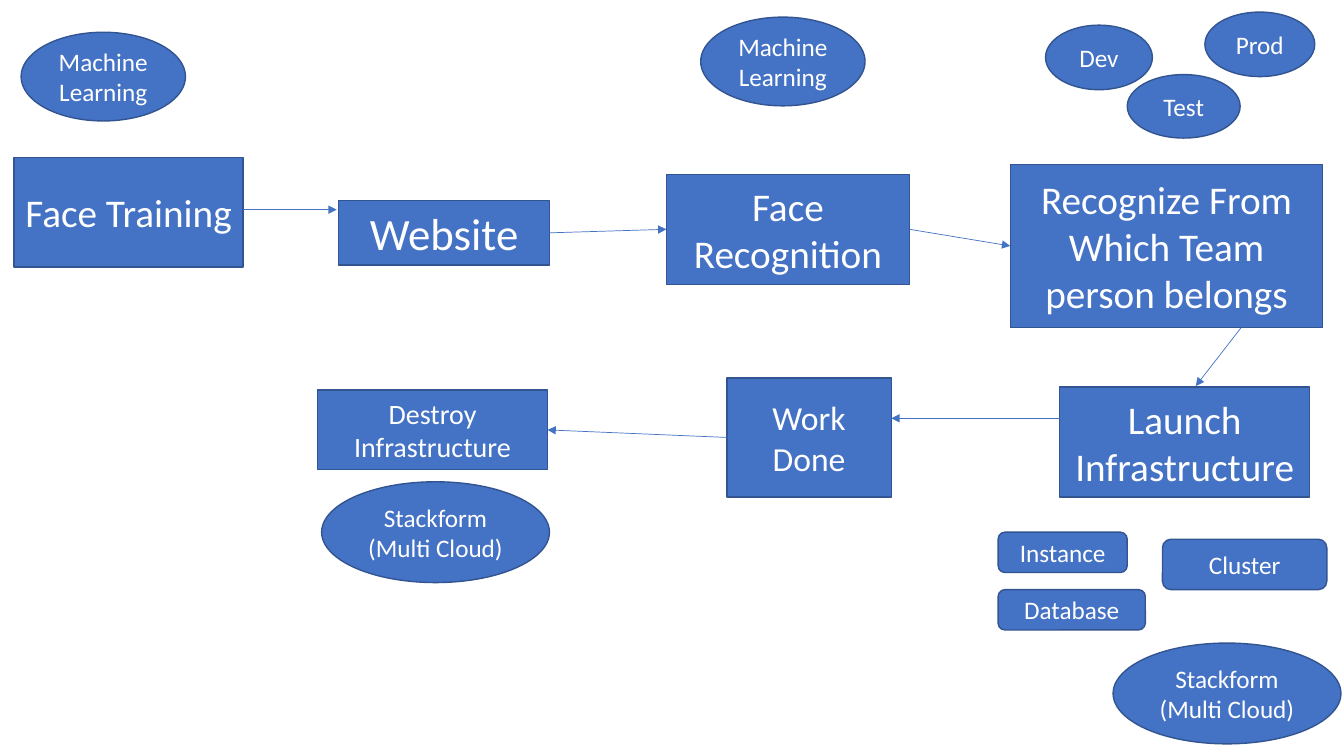
from lxml import etree
from pptx import Presentation, util as u
from pptx.dml.color import RGBColor
from pptx.enum import shapes, text
from pptx.oxml.ns import qn

RECT = shapes.MSO_SHAPE.RECTANGLE
OVAL = shapes.MSO_SHAPE.OVAL
ROUNDED = shapes.MSO_SHAPE.ROUNDED_RECTANGLE
LEFT, RIGHT = 1, 3


def colour(hex_code):
    return RGBColor.from_string(hex_code)


def write(frame, content, size=18, font="Calibri", ink="FFFFFF"):
    frame.word_wrap = True
    frame.vertical_anchor = text.MSO_ANCHOR.MIDDLE
    for i, line in enumerate(content.split("\n")):
        para = frame.paragraphs[0] if i == 0 else frame.add_paragraph()
        para.alignment = text.PP_ALIGN.CENTER
        run = para.add_run()
        run.text = line
        run.font.size = u.Pt(size)
        run.font.name = font
        run.font.color.rgb = colour(ink)


class FlowSlide:
    """Places elements on a grid whose columns and rows are a tenth of an inch."""
    CELL = u.Inches(0.1)
    FILL, BORDER = "4472C4", "325491"

    def __init__(self, slide):
        self.slide = slide

    def cells(self, *counts):
        return [round(count * self.CELL) for count in counts]

    def node(self, kind, label, col, row, cols, rows, size=18):
        node = self.slide.shapes.add_shape(kind, *self.cells(col, row, cols, rows))
        node.shadow.inherit = False
        node.fill.solid()
        node.fill.fore_color.rgb = colour(self.FILL)
        node.line.color.rgb = colour(self.BORDER)
        node.line.width = u.Pt(1)
        write(node.text_frame, label, size=size)
        return node

    def arrow(self, start=(0, 0), end=(0, 0)):
        arrow = self.slide.shapes.add_connector(
            shapes.MSO_CONNECTOR.STRAIGHT, *self.cells(*start, *end))
        arrow.line.color.rgb = colour(self.FILL)
        arrow.line.width = u.Pt(0.5)
        etree.SubElement(arrow.line._get_or_add_ln(), qn("a:tailEnd"), type="triangle")
        etree.SubElement(arrow._element.spPr, qn("a:effectLst"))
        return arrow

    def join(self, source, source_side, target, target_side):
        arrow = self.arrow()
        arrow.begin_connect(source, source_side)
        arrow.end_connect(target, target_side)


def main():
    deck = Presentation()
    deck.slide_width, deck.slide_height = u.Inches(13.33), u.Inches(7.5)
    flow = FlowSlide(deck.slides.add_slide(deck.slide_layouts[6]))

    # Process steps
    flow.node(RECT, "Face Training", 1.4, 15.6, 22.7, 10.9, 28)
    website = flow.node(RECT, "Website", 33.6, 19.9, 20.9, 6.4, 32)
    recognition = flow.node(RECT, "Face Recognition", 66.1, 17.3, 24.1, 10.9, 28)
    team = flow.node(RECT, "Recognize From Which Team person belongs",
                     100.2, 16.3, 31, 16.2, 28)
    flow.node(RECT, "Launch Infrastructure", 105.1, 38.4, 24.8, 10.9, 28)
    work_done = flow.node(RECT, "Work Done", 72.1, 37.5, 16.3, 11.8, 24)
    destroy = flow.node(RECT, "Destroy Infrastructure", 31.5, 38.7, 22.8, 7.9, 20)

    # Arrows between the steps
    flow.join(website, RIGHT, recognition, LEFT)
    flow.join(recognition, RIGHT, team, LEFT)
    flow.join(work_done, LEFT, destroy, RIGHT)
    flow.arrow((24.1, 20.8), (33.4, 20.8))
    flow.arrow((123.1, 32.5), (118.6, 38.3))
    flow.arrow((105.1, 41.5), (88.4, 41.5))

    # Teams
    for team_name, *place in (("Test", 111.8, 7.4, 11.2, 6.3),
                              ("Prod", 119.5, 1.2, 10.9, 6.4),
                              ("Dev", 103.7, 2.5, 10.6, 6.4)):
        flow.node(OVAL, team_name, *place)

    # Technologies behind the steps
    for col, row in ((69.5, 1.7), (2.1, 3.2)):
        flow.node(OVAL, "Machine Learning", col, row, 16.3, 8.8)
    for col, row in ((110.4, 63.8), (31.9, 47.8)):
        flow.node(OVAL, "Stackform\n(Multi Cloud)", col, row, 22.6, 10)

    # Launched resources
    for resource, *place in (("Cluster", 115.3, 53.5, 16.3, 5),
                             ("Instance", 99, 52.8, 12.8, 4),
                             ("Database", 99, 58.5, 14.6, 4)):
        flow.node(ROUNDED, resource, *place)

    deck.save("out.pptx")


if __name__ == "__main__":
    main()
